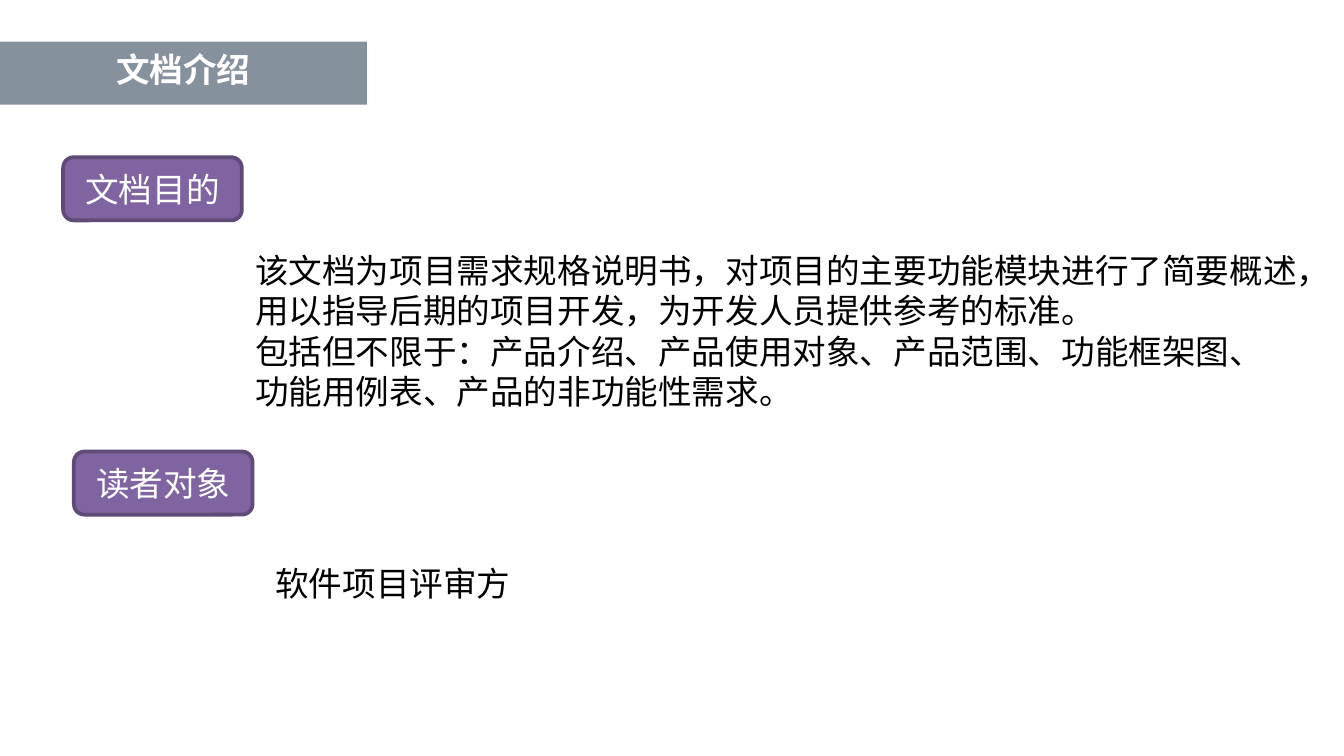
"""Build the document introduction slide."""
from dataclasses import dataclass

from lxml.etree import SubElement
from pptx import Presentation
from pptx.dml.color import RGBColor
from pptx.enum.shapes import MSO_SHAPE as Shape
from pptx.enum.text import MSO_ANCHOR as Anchor, MSO_AUTO_SIZE as AutoSize, PP_ALIGN as Align
from pptx.oxml.ns import qn
from pptx.util import Inches, Pt


@dataclass(frozen=True)
class Theme:
    font: str = "Calibri"
    size: Pt = Pt(18)
    border: Pt = Pt(2)
    banner: RGBColor = RGBColor(0x0F, 0x24, 0x3E)
    banner_alpha: int = 50
    label: RGBColor = RGBColor(0x80, 0x64, 0xA2)
    label_line: RGBColor = RGBColor(0x5F, 0x4A, 0x78)
    light: RGBColor = RGBColor(0xFF, 0xFF, 0xFF)
    dark: RGBColor = RGBColor(0, 0, 0)


@dataclass(frozen=True)
class Frame:
    left: float
    top: float
    width: float
    height: float

    def lengths(self) -> tuple:
        return tuple(Inches(n) for n in (self.left, self.top, self.width, self.height))


@dataclass(frozen=True)
class Section:
    title: str
    label: Frame
    body: Frame
    lines: tuple[str, ...]
    wrap: bool


THEME = Theme()
PAGE_WIDTH = 10
PAGE_HEIGHT = PAGE_WIDTH * 9 / 16
BANNER = Frame(0, 0.31, 2.73, 0.47)
SECTIONS = (
    Section(
        "文档目的", Frame(0.47, 1.17, 1.33, 0.47), Frame(1.8, 1.81, 8.53, 1.31),
        (
            "该文档为项目需求规格说明书，对项目的主要功能模块进行了简要概述，",
            "用以指导后期的项目开发，为开发人员提供参考的标准。",
            "包括但不限于：产品介绍、产品使用对象、产品范围、功能框架图、",
            "功能用例表、产品的非功能性需求。",
        ),
        False,
    ),
    Section(
        "读者对象", Frame(0.55, 3.36, 1.33, 0.47), Frame(1.95, 4.14, 4.77, 0.4),
        ("软件项目评审方",), True,
    ),
)


def write(para, text: str, color: RGBColor, bold: bool = False) -> None:
    span = para.add_run()
    span.text = text
    span.font.name = THEME.font
    span.font.size = THEME.size
    span.font.bold = bold
    span.font.color.rgb = color


def add_box(page, kind: Shape, frame: Frame, fill: RGBColor, text: str, bold: bool = False):
    box = page.shapes.add_shape(kind, *frame.lengths())
    box.shadow.inherit = False
    box.fill.solid()
    box.fill.fore_color.rgb = fill
    box.text_frame.vertical_anchor = Anchor.MIDDLE
    para = box.text_frame.paragraphs[0]
    para.alignment = Align.CENTER
    write(para, text, THEME.light, bold)
    return box


def add_banner(page, text: str) -> None:
    box = add_box(page, Shape.RECTANGLE, BANNER, THEME.banner, text, bold=True)
    box.line.fill.background()
    box.text_frame.paragraphs[0].line_spacing = 0.8
    color = box.element.spPr.find(qn("a:solidFill"))[0]
    SubElement(color, qn("a:alpha")).set("val", str(THEME.banner_alpha * 1000))


def add_label(page, section: Section) -> None:
    box = add_box(page, Shape.ROUNDED_RECTANGLE, section.label, THEME.label, section.title)
    box.line.color.rgb = THEME.label_line
    box.line.width = THEME.border


def add_body(page, section: Section) -> None:
    frame = page.shapes.add_textbox(*section.body.lengths()).text_frame
    frame.word_wrap = section.wrap
    frame.auto_size = AutoSize.SHAPE_TO_FIT_TEXT
    for index, line in enumerate(section.lines):
        para = frame.add_paragraph() if index else frame.paragraphs[0]
        write(para, line, THEME.dark)


def main() -> None:
    deck = Presentation()
    deck.slide_width, deck.slide_height = Inches(PAGE_WIDTH), Inches(PAGE_HEIGHT)
    page = deck.slides.add_slide(deck.slide_layouts[6])
    add_banner(page, "文档介绍")
    for section in SECTIONS:
        add_label(page, section)
    for section in SECTIONS:
        add_body(page, section)
    deck.save("out.pptx")


if __name__ == "__main__":
    main()
